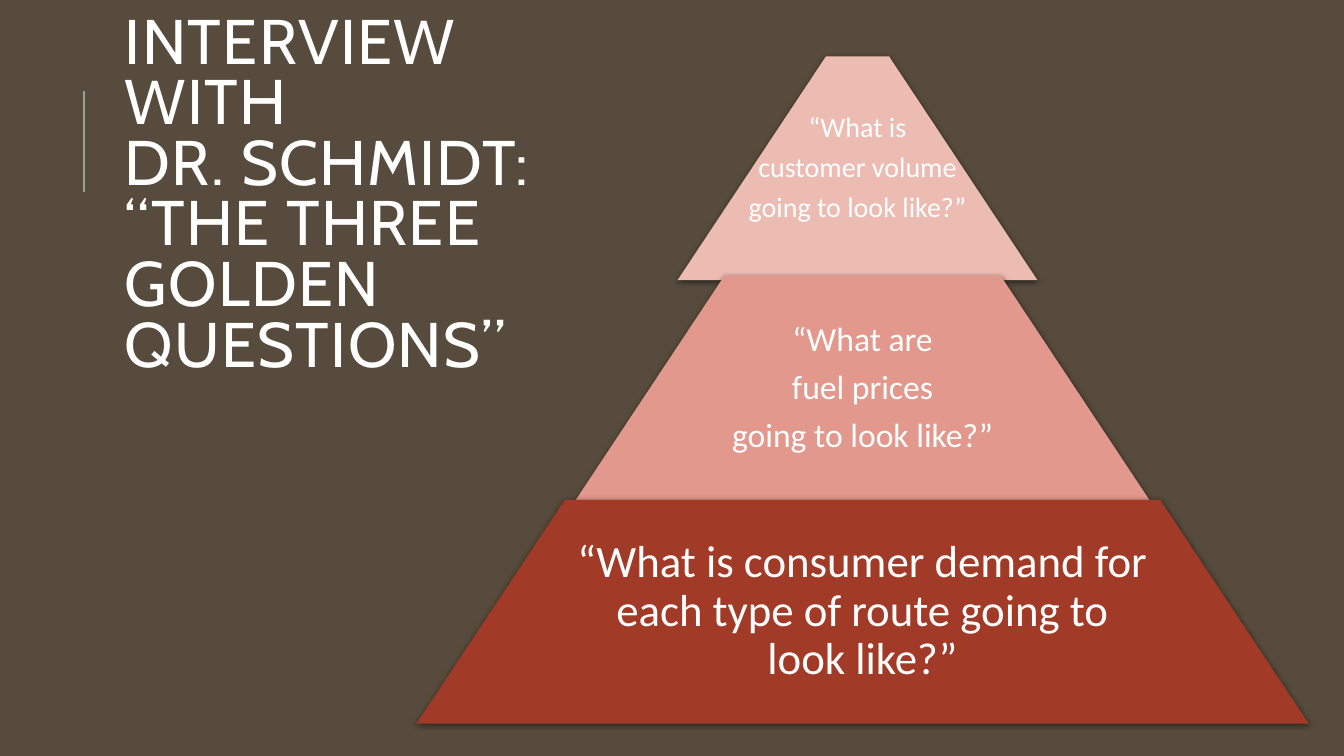
from dataclasses import dataclass

from lxml import etree
from pptx import Presentation
from pptx import util as u
from pptx.dml.color import RGBColor
from pptx.enum import shapes, text
from pptx.oxml import parse_xml
from pptx.oxml.ns import nsdecls, qn


@dataclass(frozen=True)
class Theme:
    background: str = "564B3C"
    accent: str = "93A299"
    ink: str = "FFFFFF"
    title_font: str = "Cabin"
    body_font: str = "Calibri"
    title_size: int = 45


THEME = Theme()
TIER_HEIGHT = 2.22
TIER_SLOPE = 0.663
TITLE_LINES = ["INTERVIEW WITH", "DR. SCHMIDT:", "“THE THREE", "GOLDEN QUESTIONS”"]
TIERS = [
    ((6.72, 0.56, 3.57), 1, "ECBBB2", 20,
     ["“What is", "customer volume", "going to look like?”"]),
    ((5.71, 2.74, 5.69), 0.65, "E2988C", 24,
     ["“What are", "fuel prices", "going to look like?”"]),
    ((4.13, 4.96, 8.85), 0.65, "A23A28", 32,
     ["“What is consumer demand for each type of route going to look like?”"]),
]


def inches(*lengths):
    return [u.Inches(length) for length in lengths]


def set_font(para, name, size):
    para.font.name = name
    para.font.size = u.Pt(size)
    para.font.color.rgb = RGBColor.from_string(THEME.ink)


def add_text_frame(page, left, top, width, height):
    box = page.shapes.add_textbox(*inches(left, top, width, height))
    frame = box.text_frame
    frame.word_wrap = True
    frame.vertical_anchor = text.MSO_ANCHOR.MIDDLE
    return frame


def add_title(page, left, top, width, height):
    rule = page.shapes.add_connector(
        shapes.MSO_CONNECTOR.STRAIGHT, *inches(0.83, 1.9, 0.83, 0.9))
    rule.line.color.rgb = RGBColor.from_string(THEME.accent)
    rule.line.width = u.Pt(1.5)
    etree.SubElement(rule._element.spPr, qn("a:effectLst"))

    para = add_text_frame(page, left, top, width, height).paragraphs[0]
    para.line_spacing = 0.8
    set_font(para, THEME.title_font, THEME.title_size)
    for index, line in enumerate(TITLE_LINES):
        if index:
            para.add_line_break()
        span = para.add_run()
        span.text = line
        span.font._element.set("spc", "100")


def add_shadow(shape):
    shape._element.spPr.append(parse_xml(
        f'<a:effectLst {nsdecls("a")}>'
        f'<a:outerShdw blurRad="{u.Pt(4)}" dist="{u.Pt(1)}" dir="5400000" rotWithShape="0">'
        '<a:srgbClr val="000000"><a:alpha val="50000"/></a:srgbClr>'
        '</a:outerShdw></a:effectLst>'))


def add_tier(page, box, text_share, color, size, lines):
    left, top, width = box
    tier = page.shapes.add_shape(
        shapes.MSO_SHAPE.TRAPEZOID, *inches(left, top, width, TIER_HEIGHT))
    tier.adjustments[0] = TIER_SLOPE
    tier.fill.solid()
    tier.fill.fore_color.rgb = RGBColor.from_string(color)
    tier.line.fill.background()
    add_shadow(tier)

    text_width = width * text_share
    frame = add_text_frame(
        page, left + (width - text_width) / 2, top, text_width, TIER_HEIGHT)
    frame.margin_left = frame.margin_right = u.Inches(0.03)
    frame.margin_top = frame.margin_bottom = u.Inches(0.03)
    frame.text = "\n".join(lines)
    for para in frame.paragraphs:
        para.alignment = text.PP_ALIGN.CENTER
        para.line_spacing = 0.9
        para.space_after = u.Pt(size * 0.35)
        set_font(para, THEME.body_font, size)


def main():
    deck = Presentation()
    deck.slide_width, deck.slide_height = inches(13.33, 7.5)
    page = deck.slides.add_slide(deck.slide_layouts[6])
    page.background.fill.solid()
    page.background.fill.fore_color.rgb = RGBColor.from_string(THEME.background)
    add_title(page, 1.14, 1.14, 5.17, 1.64)
    for tier in TIERS:
        add_tier(page, *tier)
    deck.save("out.pptx")


if __name__ == "__main__":
    main()
